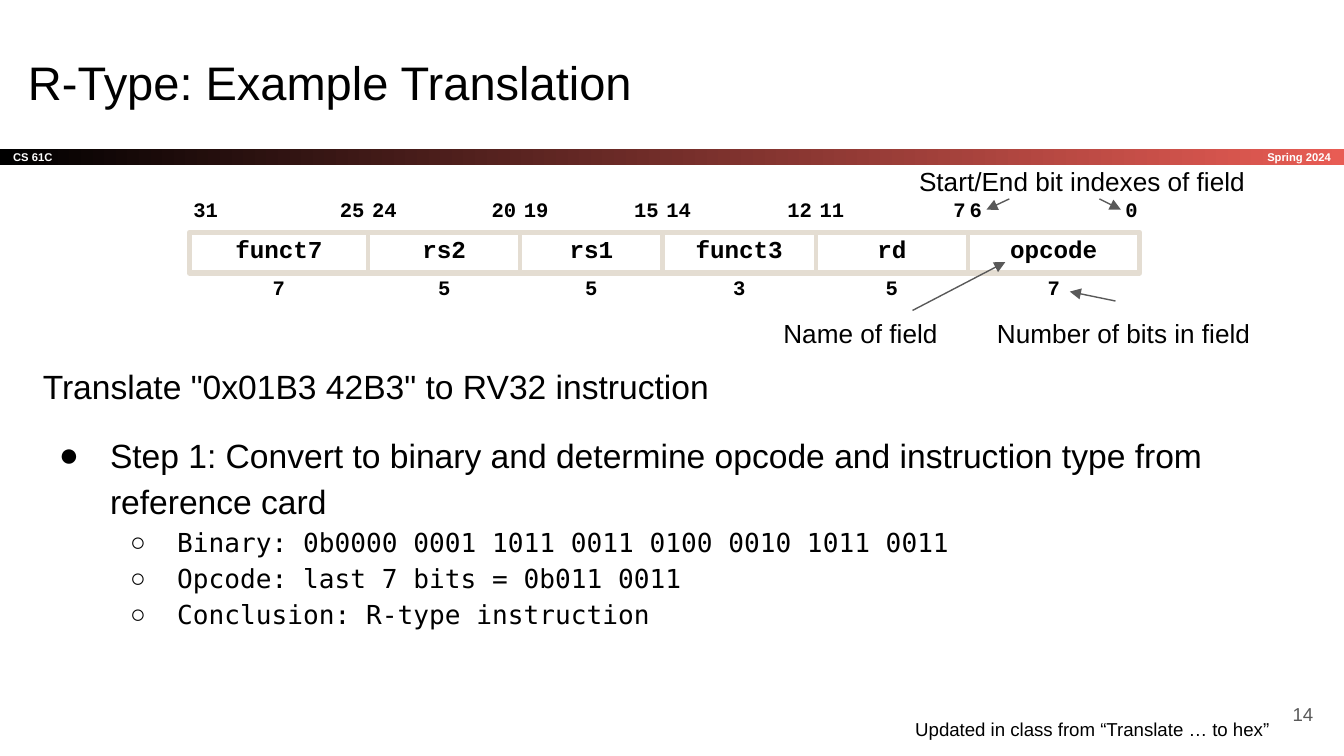
from lxml import etree
from pptx import Presentation
from pptx import util as u
from pptx.dml.color import RGBColor
from pptx.enum import shapes, text
from pptx.oxml.ns import qn

LEFT, CENTER, RIGHT = text.PP_ALIGN.LEFT, text.PP_ALIGN.CENTER, text.PP_ALIGN.RIGHT
TOP, MIDDLE = text.MSO_ANCHOR.TOP, text.MSO_ANCHOR.MIDDLE
BLACK, WHITE, GRAY, RED, SAND = "000000", "FFFFFF", "595959", "E85C54", "E4DDD2"
SANS, CODE, MONO = "Arial", "Courier New", "DejaVu Sans Mono"


def color(value):
    return RGBColor.from_string(value)


class Page:
    def __init__(self, deck):
        self.shapes = deck.slides.add_slide(deck.slide_layouts[6]).shapes

    def format(self, para, size, font=SANS, ink=BLACK, bold=False):
        for span in para.runs:
            span.font.size = u.Pt(size)
            span.font.name = font
            span.font.bold = bold
            span.font.color.rgb = color(ink)

    def box(self, left, top, width, height, inset=0.1, anchor=TOP):
        box = self.shapes.add_textbox(*map(u.Inches, (left, top, width, height)))
        frame = box.text_frame
        frame.word_wrap = True
        frame.vertical_anchor = anchor
        frame.margin_left = frame.margin_right = u.Inches(0.1)
        frame.margin_top = frame.margin_bottom = u.Inches(inset)
        return frame

    def label(self, words, left, top, width, height, size, align=LEFT,
              inset=0.1, anchor=TOP, **style):
        frame = self.box(left, top, width, height, inset, anchor)
        frame.text = words
        para = frame.paragraphs[0]
        para.alignment = align
        self.format(para, size, **style)

    def code(self, words, middle, top, width, height, size):
        """Bold code text centred on the x position middle."""
        self.label(words, middle - width / 2, top, width, height, size, CENTER,
                   inset=0.05, font=CODE, bold=True)

    def rect(self, left, top, width, height):
        rect = self.shapes.add_shape(shapes.MSO_SHAPE.RECTANGLE,
                                     *map(u.Inches, (left, top, width, height)))
        rect.shadow.inherit = False
        return rect

    def gradient_bar(self, left, top, width, height, start, end):
        bar = self.rect(left, top, width, height)
        bar.line.fill.background()
        bar.fill.gradient()
        bar.fill.gradient_angle = 0
        for stop, position, ink in zip(bar.fill.gradient_stops, (0, 1), (start, end)):
            stop.position = position
            stop.color.rgb = color(ink)

    def outline(self, left, top, width, height, ink, weight):
        rect = self.rect(left, top, width, height)
        rect.fill.background()
        rect.line.color.rgb = color(ink)
        rect.line.width = u.Pt(weight)

    def line(self, x1, y1, x2, y2, ink, weight, arrow=False):
        line = self.shapes.add_connector(shapes.MSO_CONNECTOR.STRAIGHT,
                                         *map(u.Inches, (x1, y1, x2, y2)))
        line.line.color.rgb = color(ink)
        line.line.width = u.Pt(weight)
        if arrow:
            etree.SubElement(line.line._get_or_add_ln(), qn("a:tailEnd"), type="triangle")
        etree.SubElement(line._element.spPr, qn("a:effectLst"))

    def bullet(self, para, mark, margin, indent):
        props = para._p.get_or_add_pPr()
        props.set("marL", str(u.Inches(margin)))
        props.set("indent", str(u.Inches(indent)))
        ink = etree.SubElement(props, qn("a:buClr"))
        etree.SubElement(ink, qn("a:srgbClr"), val=BLACK)
        etree.SubElement(props, qn("a:buFont"), typeface=SANS)
        etree.SubElement(props, qn("a:buChar"), char=mark)

    def outline_text(self, left, top, width, height, items):
        """Items are (level, words): 0 plain, 1 bullet, 2 code sub-bullet."""
        frame = self.box(left, top, width, height)
        for index, (level, words) in enumerate(items):
            para = frame.add_paragraph() if index else frame.paragraphs[0]
            para.text = words
            para.line_spacing = 1.15
            if level == 1:
                para.space_before = u.Pt(12)
                self.bullet(para, "●", 0.5, -0.38)
            elif level == 2:
                para.level = 1
                self.bullet(para, "○", 1, -0.35)
            self.format(para, *((14, MONO) if level == 2 else (18, SANS)))


def draw_format(page):
    """The 32-bit instruction layout with bit indexes, names and widths."""
    top, height = 1.73, 0.3
    edges = [1.41, 2.74, 3.87, 4.93, 6.07, 7.2, 8.48]
    fields = [("funct7", 7), ("rs2", 5), ("rs1", 5), ("funct3", 3), ("rd", 5), ("opcode", 7)]
    page.outline(edges[0], top, edges[-1] - edges[0], height, SAND, 3)
    high = 31
    for (name, bits), left, right in zip(fields, edges, edges[1:]):
        low = high - bits + 1
        middle = (left + right) / 2
        for index, edge, side in ((high, left, 1), (low, right, -1)):
            gap = 0.06 * len(str(index))
            page.code(str(index), edge + side * gap, 1.42, 0.42, 0.29, 11)
        page.code(name, middle, 1.69, 0.91 if len(name) > 3 else 0.59, 0.32, 13)
        page.code(str(bits), middle, 2, 0.42, 0.29, 11)
        high = low - 1
    for edge in edges[1:-1]:
        page.line(edge, top, edge, top + height, SAND, 2.25)


def main():
    deck = Presentation()
    deck.slide_width = u.Inches(10)
    deck.slide_height = deck.slide_width * 9 // 16
    page = Page(deck)

    page.gradient_bar(0, 1.11, 10, 0.12, BLACK, RED)
    for words, left, align in (("CS 61C", 0, LEFT), ("Spring 2024", 8.34, RIGHT)):
        page.label(words, left, 1.11, 1.66, 0.12, 6, align, inset=0, anchor=MIDDLE,
                   ink=WHITE, bold=True)
    page.label("R-Type: Example Translation", 0.11, 0.3, 9.32, 0.63, 25.2)

    draw_format(page)

    page.outline_text(0.22, 2.58, 9.32, 2.91, [
        (0, 'Translate "0x01B3 42B3" to RV32 instruction'),
        (1, "Step 1: Convert to binary and determine opcode and instruction type "
            "from reference card"),
        (2, "Binary: 0b0000 0001 1011 0011 0100 0010 1011 0011"),
        (2, "Opcode: last 7 bits = 0b011 0011"),
        (2, "Conclusion: R-type instruction"),
    ])

    for words, left, top, width in (
        ("Name of field", 5.73, 2.26, 1.68),
        ("Number of bits in field", 7.32, 2.26, 2.6),
        ("Start/End bit indexes of field", 6.74, 1.13, 3.2),
    ):
        page.label(words, left, top, width, 0.44, 14)
    for ends in ((6.79, 2.31, 7.48, 1.95), (8.3, 2.24, 7.96, 2.17),
                 (7.51, 1.48, 7.34, 1.56), (8.18, 1.48, 8.34, 1.56)):
        page.line(*ends, GRAY, 0.75, arrow=True)

    page.label("14", 9.27, 5.1, 0.6, 0.43, 10, RIGHT, anchor=MIDDLE, ink=GRAY)
    page.label("Updated in class from “Translate … to hex”", 6.36, 5.26, 3.18, 0.27, 10, RIGHT)
    deck.save("out.pptx")


if __name__ == "__main__":
    main()
